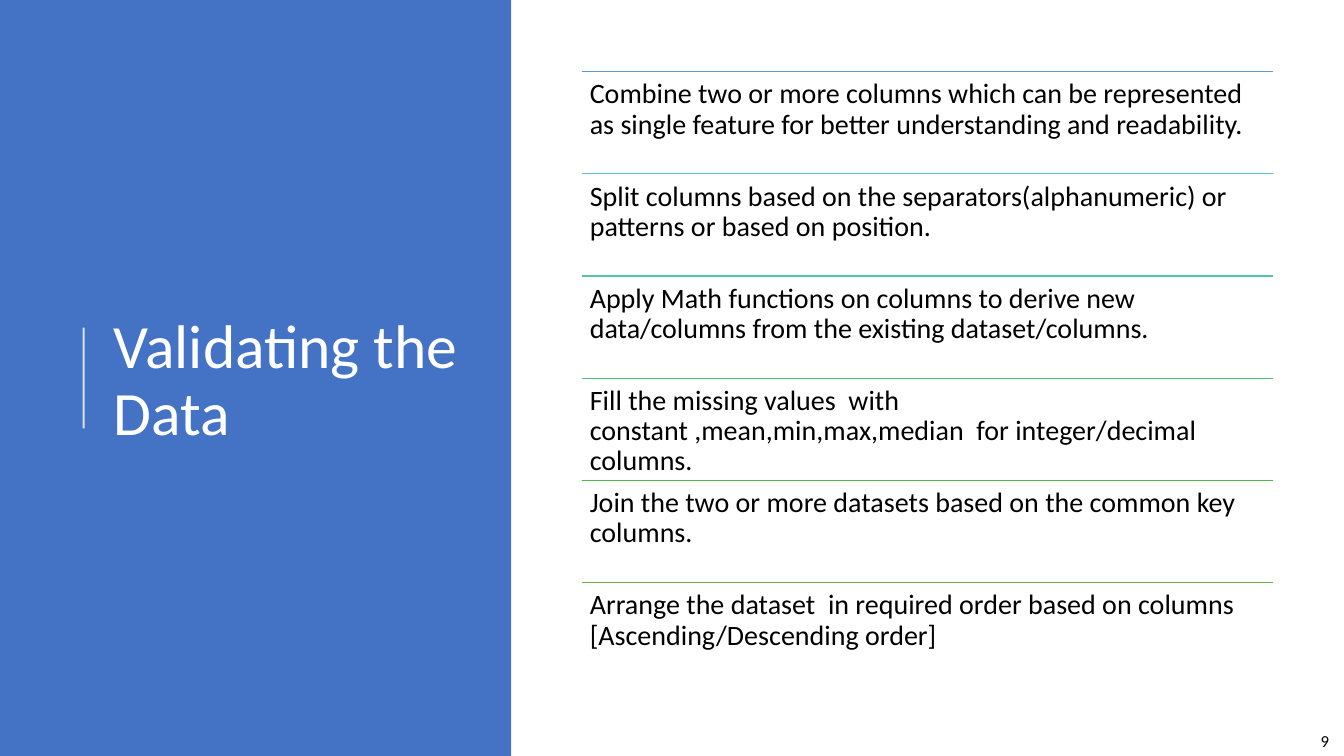
"""Build the "Validating the Data" slide: a blue title panel beside six ruled steps."""
from lxml.etree import SubElement
from pptx import Presentation
from pptx.dml.color import RGBColor
from pptx.enum.shapes import MSO_CONNECTOR as CONN, MSO_SHAPE as SHAPE
from pptx.enum.text import MSO_ANCHOR as ANCHOR
from pptx.oxml.ns import qn
from pptx.util import Inches, Pt

BLUE = RGBColor(0x44, 0x72, 0xC4)
WHITE = RGBColor(0xFF, 0xFF, 0xFF)
BLACK = RGBColor(0x00, 0x00, 0x00)

STEPS = [
    (RGBColor(0x5B, 0x9B, 0xD5),
     "Combine two or more columns which can be represented as single feature "
     "for better understanding and readability."),
    (RGBColor(0x55, 0xC3, 0xCF),
     "Split columns based on the separators(alphanumeric) or patterns or based on position."),
    (RGBColor(0x50, 0xC8, 0xA7),
     "Apply Math functions on columns to derive new data/columns "
     "from the existing dataset/columns."),
    (RGBColor(0x4B, 0xC1, 0x74),
     "Fill the missing values  with constant ,mean,min,max,median  "
     "for integer/decimal columns."),
    (RGBColor(0x4A, 0xBA, 0x46),
     "Join the two or more datasets based on the common key columns."),
    (RGBColor(0x70, 0xAD, 0x47),
     "Arrange the dataset  in required order based on columns [Ascending/Descending order]"),
]
STEP_LEFT, STEP_TOP, STEP_WIDTH, STEP_HEIGHT = 5.77, 0.71, 6.86, 1.014


def add_text(left, top, width, height, text, size, color, spacing=1.0):
    sp = slide.shapes.add_textbox(Inches(left), Inches(top), Inches(width), Inches(height))
    tf = sp.text_frame
    tf.word_wrap = True
    p = tf.paragraphs[0]
    p.line_spacing = spacing
    r = p.add_run()
    r.text = text
    r.font.name = "Calibri"
    r.font.size = Pt(size)
    r.font.color.rgb = color
    return tf


def add_rule(x1, y1, x2, y2, color, width):
    line = slide.shapes.add_connector(CONN.STRAIGHT, Inches(x1), Inches(y1), Inches(x2), Inches(y2))
    line.line.color.rgb = color
    line.line.width = Pt(width)
    SubElement(line._element.spPr, qn("a:effectLst"))
    return line


prs = Presentation()
prs.slide_width = Inches(13.33)
prs.slide_height = Inches(7.5)
slide = prs.slides.add_slide(prs.slide_layouts[6])

panel = slide.shapes.add_shape(SHAPE.RECTANGLE, 0, 0, Inches(5.07), Inches(7.5))
panel.shadow.inherit = False
panel.fill.solid()
panel.fill.fore_color.rgb = BLUE
panel.line.fill.background()

title = add_text(1.03, 0.78, 3.69, 6.02, "Validating the Data", 44, WHITE, 0.9)
title.vertical_anchor = ANCHOR.MIDDLE

accent = add_rule(0.83, 4.25, 0.83, 3.25, WHITE, 1.5)
accent_color = accent._element.spPr.find(".//" + qn("a:srgbClr"))
SubElement(accent_color, qn("a:alpha"), val="80000")

for i, (color, text) in enumerate(STEPS):
    top = STEP_TOP + i * STEP_HEIGHT
    add_rule(STEP_LEFT, top, STEP_LEFT + STEP_WIDTH, top, color, 1)
    tf = add_text(STEP_LEFT, top, STEP_WIDTH, STEP_HEIGHT, text, 20, BLACK, 0.9)
    tf.margin_left = tf.margin_right = tf.margin_top = tf.margin_bottom = Inches(0.08)

add_text(13, 7.2, 0.33, 0.3, "9", 12, BLACK)

prs.save("out.pptx")
